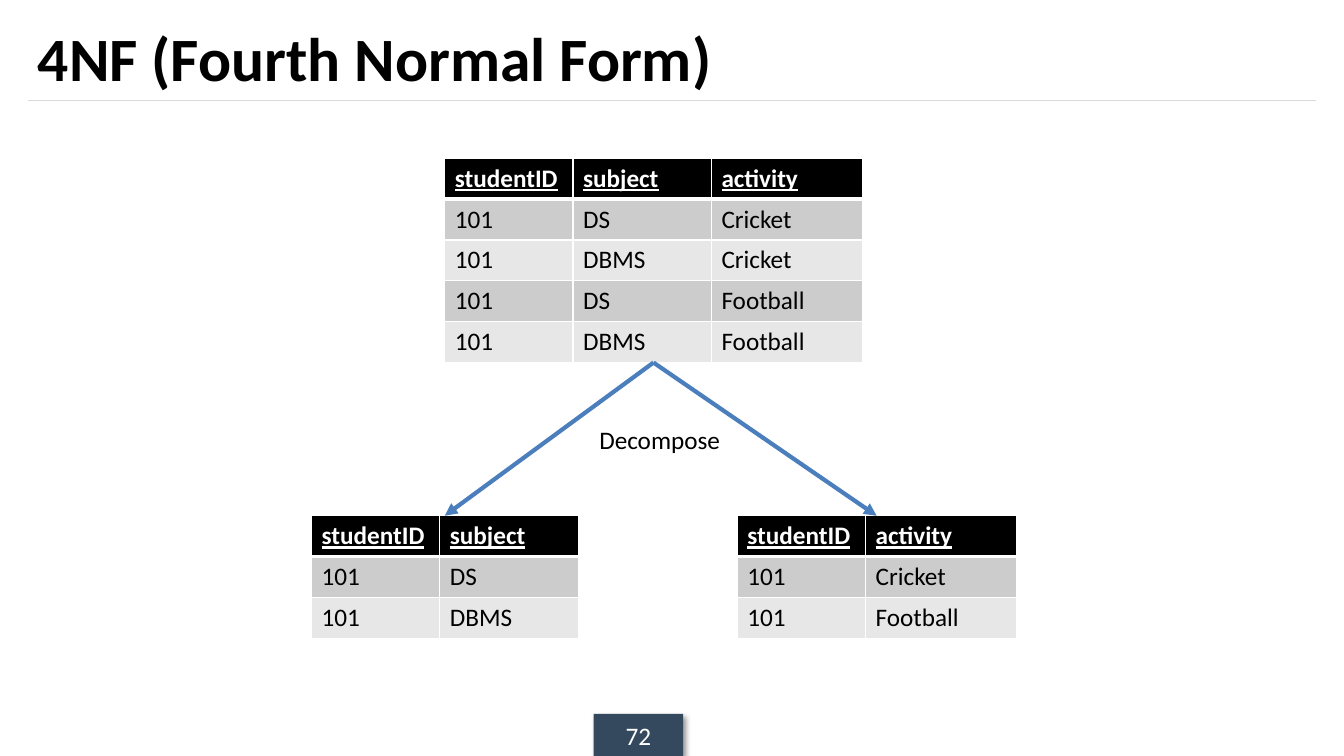
from dataclasses import dataclass

from lxml.etree import SubElement
from pptx import Presentation
from pptx.dml.color import RGBColor
from pptx.enum.shapes import MSO_CONNECTOR, MSO_SHAPE
from pptx.enum.text import MSO_ANCHOR, PP_ALIGN
from pptx.oxml.ns import qn
from pptx.shapes.connector import Connector
from pptx.table import _Cell
from pptx.text.text import TextFrame
from pptx.util import Pt


@dataclass(frozen=True)
class Theme:
    font: str = "Calibri"
    title: float = 44
    body: float = 18
    black: str = "000000"
    white: str = "FFFFFF"
    bands: tuple[str, str] = ("CCCCCC", "E7E7E7")
    rule: str = "D9D9D9"
    arrow: str = "4B7EBC"
    badge: str = "34495E"


@dataclass(frozen=True)
class Grid:
    left: float
    top: float
    rows: list[tuple[str, ...]]


@dataclass(frozen=True)
class Line:
    start: tuple[float, float]
    end: tuple[float, float]
    color: str
    width: float
    head: bool = False


THEME = Theme()
ROW = 29.2
WIDTHS = {"studentID": 91.6, "subject": 98.9, "activity": 107.8}

# Relation before and after the split
GRIDS = [
    Grid(317.7, 113, [
        ("studentID", "subject", "activity"),
        ("101", "DS", "Cricket"),
        ("101", "DBMS", "Cricket"),
        ("101", "DS", "Football"),
        ("101", "DBMS", "Football"),
    ]),
    Grid(222.6, 368.4, [
        ("studentID", "subject"),
        ("101", "DS"),
        ("101", "DBMS"),
    ]),
    Grid(526.7, 368.4, [
        ("studentID", "activity"),
        ("101", "Cricket"),
        ("101", "Football"),
    ]),
]

FORK = (466.8, 259)
LINES = [
    Line((20, 72), (940, 72), THEME.rule, 0.75),
    Line(FORK, (317.7, 368.4), THEME.arrow, 3, True),
    Line(FORK, (626.2, 368.4), THEME.arrow, 3, True),
]

deck = Presentation()
deck.slide_width, deck.slide_height = Pt(960), Pt(540)
slide = deck.slides.add_slide(deck.slide_layouts[6])
shapes = slide.shapes


def rgb(color: str) -> RGBColor:
    return RGBColor.from_string(color)


def write(frame: TextFrame, text: str, size: float, color: str,
          bold: bool = False, under: bool = False) -> None:
    frame.text = text
    font = frame.paragraphs[0].runs[0].font
    font.name, font.size = THEME.font, Pt(size)
    font.bold, font.underline = bold, under
    font.color.rgb = rgb(color)


def label(left: float, top: float, width: float, height: float,
          text: str, size: float, bold: bool = False) -> TextFrame:
    frame = shapes.add_textbox(Pt(left), Pt(top), Pt(width), Pt(height)).text_frame
    frame.word_wrap = True
    write(frame, text, size, THEME.black, bold)
    return frame


def border(cell: _Cell, side: str, width: float) -> None:
    line = SubElement(cell._tc.get_or_add_tcPr(), qn(f"a:ln{side}"), w=str(Pt(width)))
    fill = SubElement(line, qn("a:solidFill"))
    SubElement(fill, qn("a:srgbClr"), val=THEME.white)


def draw_grid(grid: Grid) -> None:
    heads = grid.rows[0]
    wide = sum(WIDTHS[name] for name in heads)
    count = len(grid.rows)
    table = shapes.add_table(count, len(heads), Pt(grid.left), Pt(grid.top),
                             Pt(wide), Pt(ROW * count)).table
    for col, name in zip(table.columns, heads):
        col.width = Pt(WIDTHS[name])
    for r, row in enumerate(grid.rows):
        table.rows[r].height = Pt(ROW)
        top = r == 0
        for c, text in enumerate(row):
            cell = table.cell(r, c)
            # Thick rule between the header and the first row
            for side in "LRTB":
                thick = (r, side) in ((0, "B"), (1, "T"))
                border(cell, side, 3 if thick else 1)
            cell.fill.solid()
            cell.fill.fore_color.rgb = rgb(THEME.black if top else THEME.bands[(r - 1) % 2])
            write(cell.text_frame, text, THEME.body,
                  THEME.white if top else THEME.black, top, top)


def draw_line(line: Line) -> Connector:
    link = shapes.add_connector(MSO_CONNECTOR.STRAIGHT, *map(Pt, line.start + line.end))
    link.line.color.rgb = rgb(line.color)
    link.line.width = Pt(line.width)
    if line.head:
        SubElement(link.line._get_or_add_ln(), qn("a:tailEnd"), type="triangle")
    SubElement(link._element.spPr, qn("a:effectLst"))
    return link


def draw_badge(text: str) -> None:
    box = shapes.add_shape(MSO_SHAPE.RECTANGLE, Pt(424), Pt(510), Pt(64), Pt(30))
    box.fill.solid()
    box.fill.fore_color.rgb = rgb(THEME.badge)
    box.line.fill.background()
    box.shadow.inherit = False
    # Soft shadow to the lower right
    effects = box._element.spPr.find(qn("a:effectLst"))
    shade = SubElement(effects, qn("a:outerShdw"), blurRad=str(Pt(4)), dist=str(Pt(3)),
                       dir=str(45 * 60000), algn="tl", rotWithShape="0")
    tint = SubElement(shade, qn("a:srgbClr"), val=THEME.black)
    SubElement(tint, qn("a:alpha"), val="40000")
    frame = box.text_frame
    frame.vertical_anchor = MSO_ANCHOR.MIDDLE
    write(frame, text, THEME.body, THEME.white)
    frame.paragraphs[0].alignment = PP_ALIGN.CENTER


# Title and page number
title = label(20, 8.6, 920, 63.4, "4NF (Fourth Normal Form)", THEME.title, True)
title.vertical_anchor = MSO_ANCHOR.MIDDLE
draw_badge("72")

# Tables, then the lines over them
for grid in GRIDS:
    draw_grid(grid)
for line in LINES:
    draw_line(line)
label(421, 299.5, 102.2, 29, "Decompose", THEME.body)

deck.save("out.pptx")
